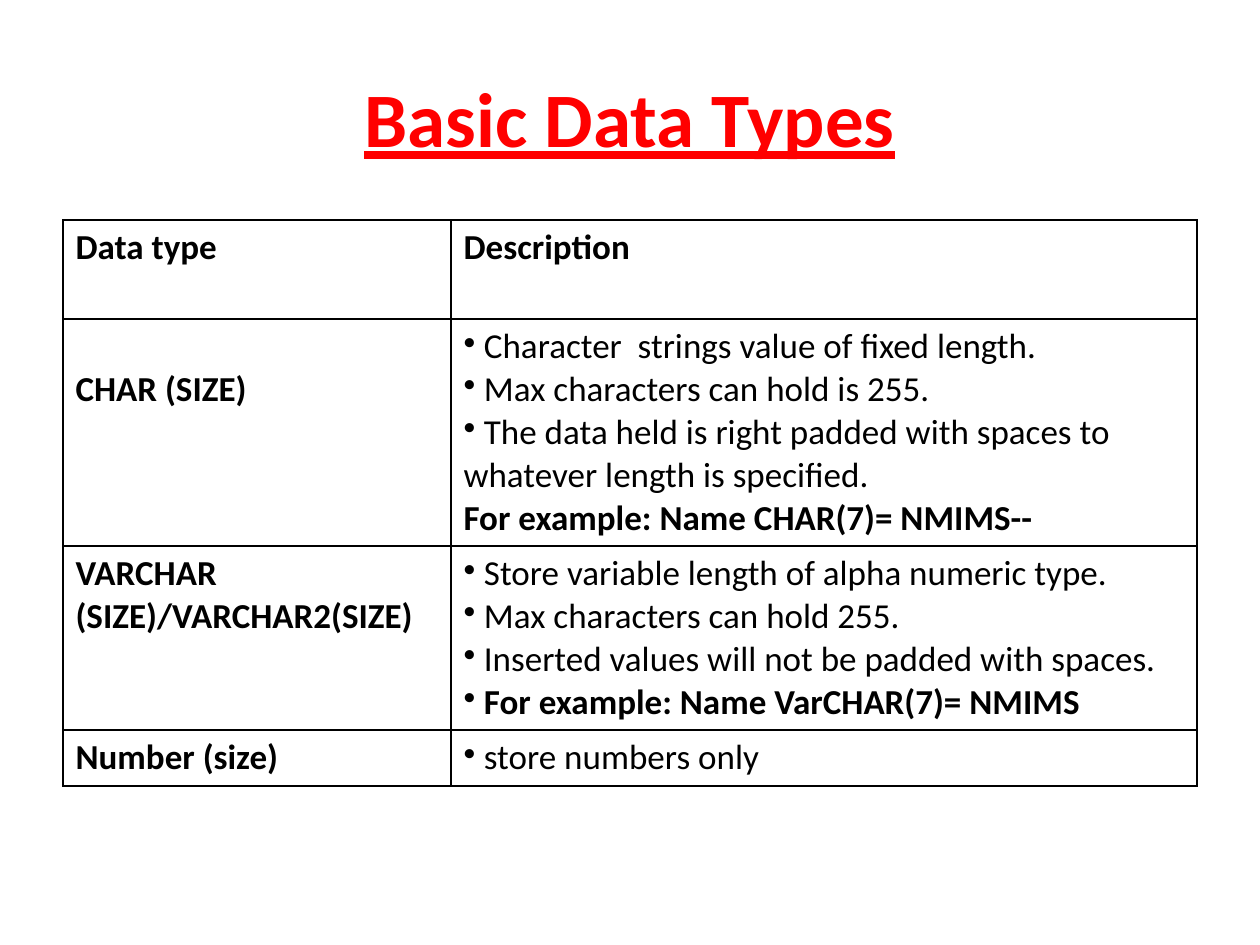
from dataclasses import dataclass
from lxml.etree import SubElement as Sub
from pptx import Presentation as Deck
from pptx.dml.color import RGBColor as RGB
from pptx.enum.text import MSO_ANCHOR as Anchor, PP_ALIGN as Align
from pptx.oxml import parse_xml
from pptx.oxml.ns import nsdecls, qn
from pptx.util import Emu, Pt


@dataclass(frozen=True)
class Theme:
    face: str = "Calibri"
    head: RGB = RGB(255, 0, 0)
    ink: RGB = RGB(0, 0, 0)
    big: int = 44
    body: int = 20
    rule: int = 1


theme = Theme()


def px(n):
    return Emu(round(n * 914400 / 126))


def style(para, size, color, bold):
    font = para.font
    font.name, font.size, font.bold = theme.face, Pt(size), bold
    font.color.rgb = color


deck = Deck()
deck.slide_width, deck.slide_height = px(1260), px(945)
slide = deck.slides.add_slide(deck.slide_layouts[5])

title = slide.shapes.title
title.left, title.top, title.width, title.height = map(px, (63, 38, 1134, 157))
title.text_frame.text = "Basic Data Types"
title.text_frame.vertical_anchor = Anchor.MIDDLE
para = title.text_frame.paragraphs[0]
para.alignment = Align.CENTER
style(para, theme.big, theme.head, True)
para.font.underline = True

# Each line is its text, whether it is bulleted, and whether it is bold.
rows = [
    (99, "Data type", [("Description", False, True)]),
    (227, "CHAR (SIZE)", [
        (" Character  strings value of fixed length.", True, False),
        (" Max characters can hold is 255.", True, False),
        (" The data held is right padded with spaces to whatever length is specified.", True, False),
        ("For example: Name CHAR(7)= NMIMS--", False, True),
    ]),
    (184, "VARCHAR (SIZE)/VARCHAR2(SIZE)", [
        (" Store variable length of alpha numeric type.", True, False),
        (" Max characters can hold 255.", True, False),
        (" Inserted values will not be padded with spaces.", True, False),
        (" For example: Name VarCHAR(7)= NMIMS", True, True),
    ]),
    (56, "Number (size)", [(" store numbers only", True, False)]),
]
cols = (388, 746)
high = sum(row[0] for row in rows)
frame = slide.shapes.add_table(len(rows), len(cols), px(63), px(220), px(sum(cols)), px(high))
table = frame.table
table.first_row = table.horz_banding = False
for col, wide in zip(table.columns, cols):
    col.width = px(wide)

for r, (tall, name, lines) in enumerate(rows):
    table.rows[r].height = px(tall)
    for c, texts in enumerate(([(name, False, True)], lines)):
        cell = table.cell(r, c)
        cell.fill.background()
        for i, side in enumerate("LRTB"):
            edge = parse_xml(
                f'<a:ln{side} {nsdecls("a")} w="{Pt(theme.rule)}"><a:solidFill>'
                f'<a:srgbClr val="{theme.ink}"/></a:solidFill></a:ln{side}>')
            cell._tc.get_or_add_tcPr().insert(i, edge)
        box = cell.text_frame
        for i, (text, dot, bold) in enumerate(texts):
            para = box.add_paragraph() if i else box.paragraphs[0]
            para.text = text
            if dot:
                Sub(para._p.get_or_add_pPr(), qn("a:buChar"), char="•")
            style(para, theme.body, theme.ink, bold)

# The CHAR label sits one line lower than its row's first line.
table.cell(1, 0).margin_top = px(49)

deck.save("out.pptx")
